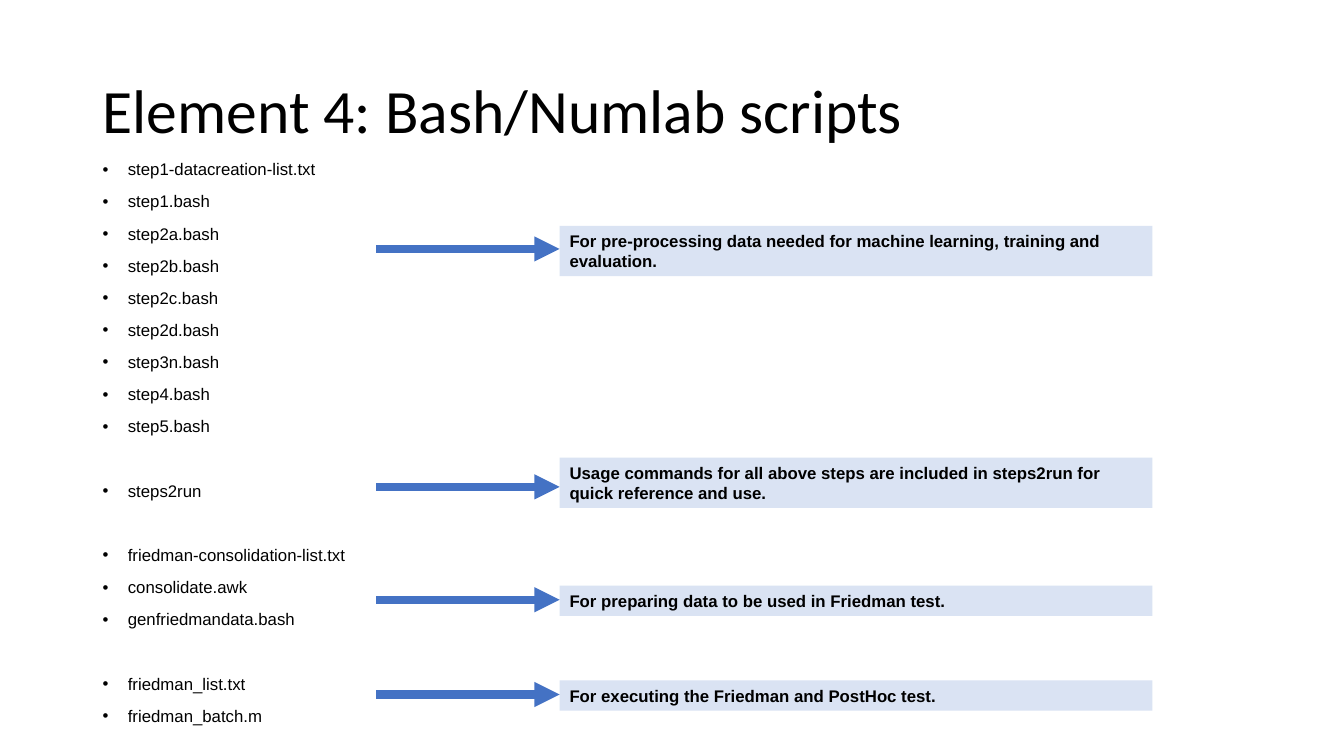
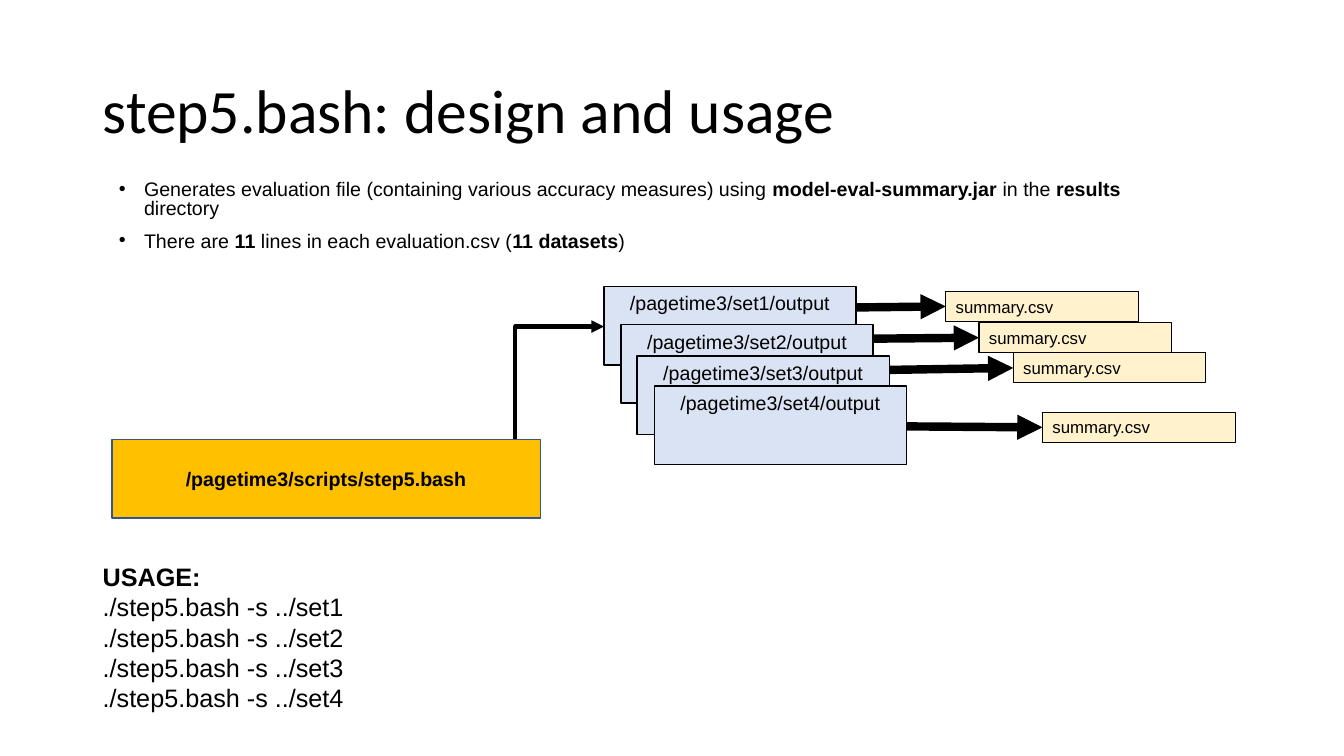
from pptx import Presentation
from pptx.dml.color import RGBColor
from pptx.enum.shapes import MSO_CONNECTOR as Link, MSO_SHAPE as Shape
from pptx.enum.text import MSO_ANCHOR as Anchor, PP_ALIGN as Align
from pptx.oxml.ns import qn
from pptx.util import Pt
from lxml.etree import SubElement

PX = 9144
BLACK = RGBColor(0x00, 0x00, 0x00)
BLUE = RGBColor(0x44, 0x72, 0xC4)
PALE_BLUE = RGBColor(0xDA, 0xE3, 0xF3)
GOLD = RGBColor(0xFF, 0xC0, 0x00)
CREAM = RGBColor(0xFF, 0xF2, 0xCC)
NAVY = RGBColor(0x32, 0x54, 0x91)
TITLE = {"name": "Calibri", "size": Pt(44)}
SMALL = {"name": "Arial", "size": Pt(12)}
MEDIUM = {"name": "Arial", "size": Pt(14)}
LARGE = {"name": "Arial", "size": Pt(18)}
BOLD = {"bold": True}


def add_box(page, area, paragraphs, font, layout={}, anchor=Anchor.TOP,
            fill=None, border=None, bullets=False):
    left, top, width, height = [value * PX for value in area]
    if fill is None:
        box = page.shapes.add_textbox(left, top, width, height)
    else:
        box = page.shapes.add_shape(Shape.RECTANGLE, left, top, width, height)
        box.shadow.inherit = False
        box.fill.solid()
        box.fill.fore_color.rgb = fill
        if border:
            color, weight = border
            box.line.color.rgb = color
            box.line.width = Pt(weight)
        else:
            box.line.fill.background()
    frame = box.text_frame
    frame.word_wrap = True
    frame.vertical_anchor = anchor
    for index, spans in enumerate(paragraphs):
        para = frame.add_paragraph() if index else frame.paragraphs[0]
        for name, value in ({"alignment": Align.LEFT} | layout).items():
            setattr(para, name, value)
        if bullets:
            properties = para._p.get_or_add_pPr()
            properties.set("marL", str(25 * PX))
            properties.set("indent", str(-25 * PX))
            SubElement(properties, qn("a:buFont")).set("typeface", "Arial")
            SubElement(properties, qn("a:buChar")).set("char", "•")
        for text, extra in spans:
            span = para.add_run()
            span.text = text
            span.font.color.rgb = BLACK
            for name, value in (font | extra).items():
                setattr(span.font, name, value)
    return box


def add_arrow(page, start, end, color, weight, kind=Link.STRAIGHT):
    points = [value * PX for value in (*start, *end)]
    arrow = page.shapes.add_connector(kind, *points)
    arrow.line.color.rgb = color
    arrow.line.width = Pt(weight)
    SubElement(arrow.line._get_or_add_ln(), qn("a:tailEnd")).set("type", "triangle")
    SubElement(arrow._element.spPr, qn("a:effectLst"))
    return arrow


deck = Presentation()
deck.slide_width = 1333 * PX
deck.slide_height = 750 * PX
pages = []
for title in ("Element 4: Bash/Numlab scripts", "step5.bash: design and usage"):
    page = deck.slides.add_slide(deck.slide_layouts[6])
    add_box(page, (92, 40, 1150, 145), [[(title, {})]], TITLE,
            {"line_spacing": 0.9}, Anchor.MIDDLE)
    pages.append(page)
scripts_page, usage_page = pages

script_groups = [
    ["step1-datacreation-list.txt", "step1.bash", "step2a.bash", "step2b.bash",
     "step2c.bash", "step2d.bash", "step3n.bash", "step4.bash", "step5.bash"],
    ["steps2run"],
    ["friedman-consolidation-list.txt", "consolidate.awk", "genfriedmandata.bash"],
    ["friedman_list.txt", "friedman_batch.m"],
]
script_names = [[(name, {})] for group in script_groups for name in group]
script_list = add_box(scripts_page, (92, 155, 450, 578), script_names, SMALL,
                      {"line_spacing": 0.9, "space_before": Pt(10)}, bullets=True)
first = 0
for group in script_groups[:-1]:
    first += len(group)
    script_list.text_frame.paragraphs[first].space_before = Pt(33)

purposes = [
    (224, 50, 247, "For pre-processing data needed for machine learning, training and evaluation."),
    (454, 50, 483, "Usage commands for all above steps are included in steps2run for quick reference and use."),
    (581, 30, 595, "For preparing data to be used in Friedman test."),
    (675, 30, 689, "For executing the Friedman and PostHoc test."),
]
for top, height, arrow_y, purpose in purposes:
    add_box(scripts_page, (555, top, 588, height), [[(purpose, BOLD)]], SMALL,
            fill=PALE_BLUE)
    add_arrow(scripts_page, (373, arrow_y), (555, arrow_y), BLUE, 6)

summary = [
    [("Generates evaluation file (containing various accuracy measures) using ", {}),
     ("model-eval-summary.jar ", BOLD), ("in the ", {}),
     ("results", BOLD), (" directory", {})],
    [("There are ", {}), ("11", BOLD), (" lines in each evaluation.csv (", {}),
     ("11 datasets", BOLD), (")", {})],
]
add_box(usage_page, (108, 175, 1049, 83), summary, MEDIUM,
        {"line_spacing": 0.8, "space_before": Pt(10)}, bullets=True)

centered = {"alignment": Align.CENTER}
add_box(usage_page, (111, 436, 425, 78), [[("/pagetime3/scripts/step5.bash", BOLD)]],
        MEDIUM, centered, Anchor.MIDDLE, GOLD, (NAVY, 1))

outputs = [
    (599, 284, 305, 938, 289),
    (616, 322, 336, 971, 320),
    (632, 353, 367, 1005, 350),
    (649, 383, 423, 1034, 409),
]
for number, (left, top, arrow_y, file_left, file_top) in enumerate(outputs, 1):
    add_box(usage_page, (left, top, 250, 78), [[(f"/pagetime3/set{number}/output", {})]],
            MEDIUM, centered, fill=PALE_BLUE, border=(BLACK, 1))
    add_arrow(usage_page, (left + 250, arrow_y), (file_left, file_top + 15), BLACK, 6)
    add_box(usage_page, (file_left, file_top, 191, 30), [[("summary.csv", {})]],
            SMALL, fill=CREAM, border=(BLACK, 0.75))

elbow = add_arrow(usage_page, (611, 424), (499, 336), BLACK, 3, Link.ELBOW)
elbow_shape = elbow._element.spPr
elbow_shape.find(qn("a:xfrm")).set("rot", "5400000")
elbow_shape.find(qn("a:prstGeom")).set("prst", "bentConnector2")

commands = [[("USAGE:", BOLD)]]
commands += [[(f"./step5.bash -s ../set{number}", {})] for number in range(1, 5)]
add_box(usage_page, (92, 552, 1188, 162), commands, LARGE)

deck.save("out.pptx")
